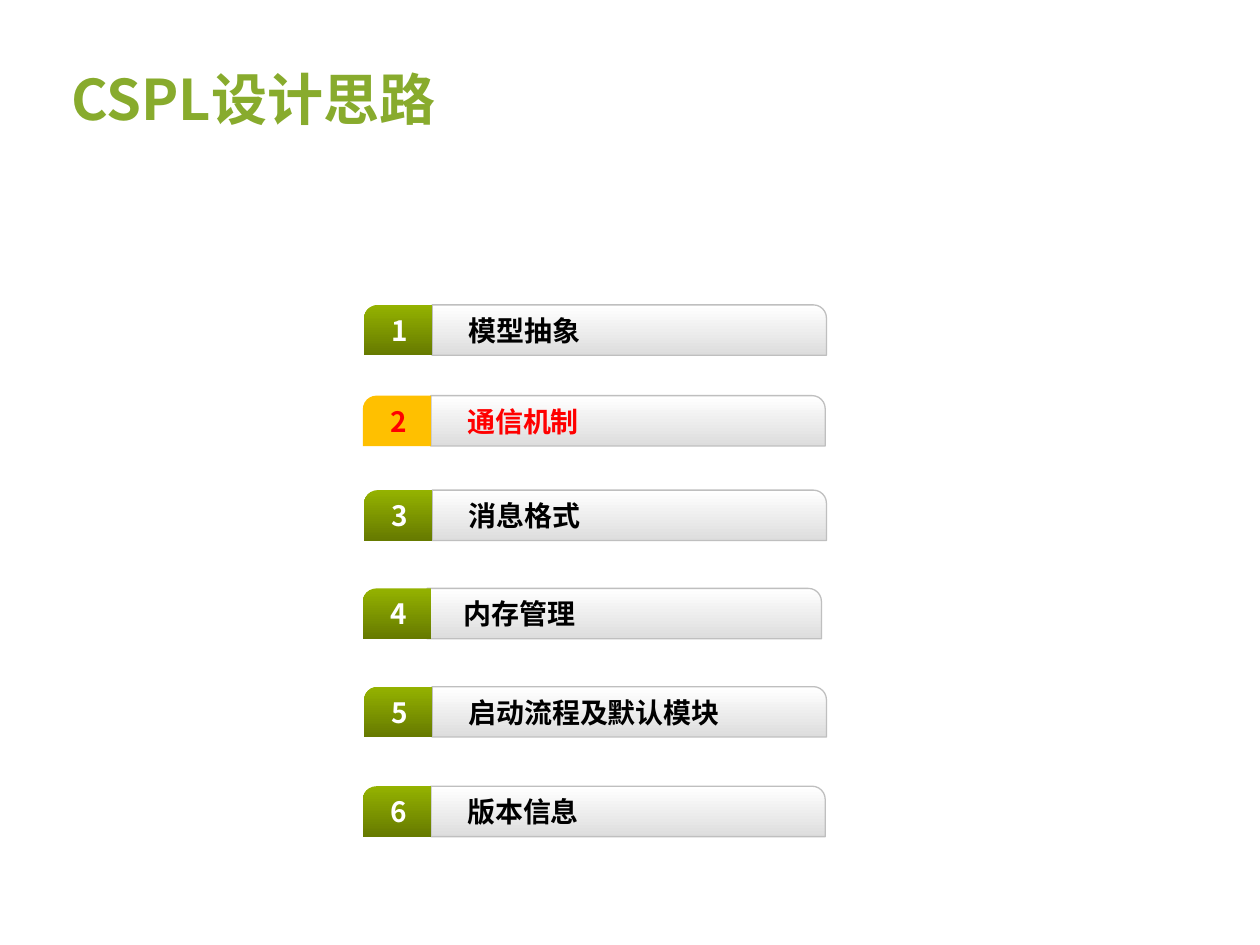
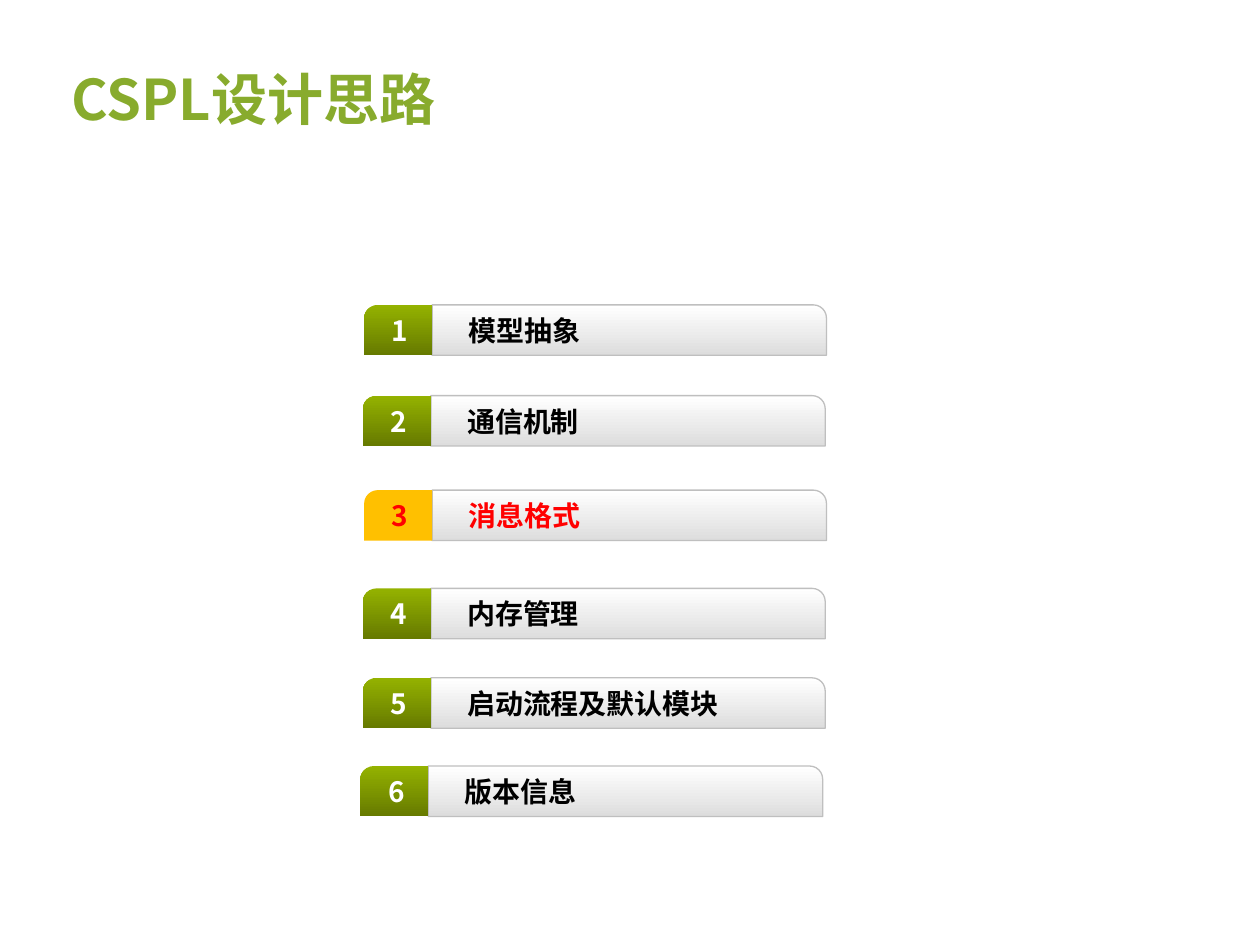
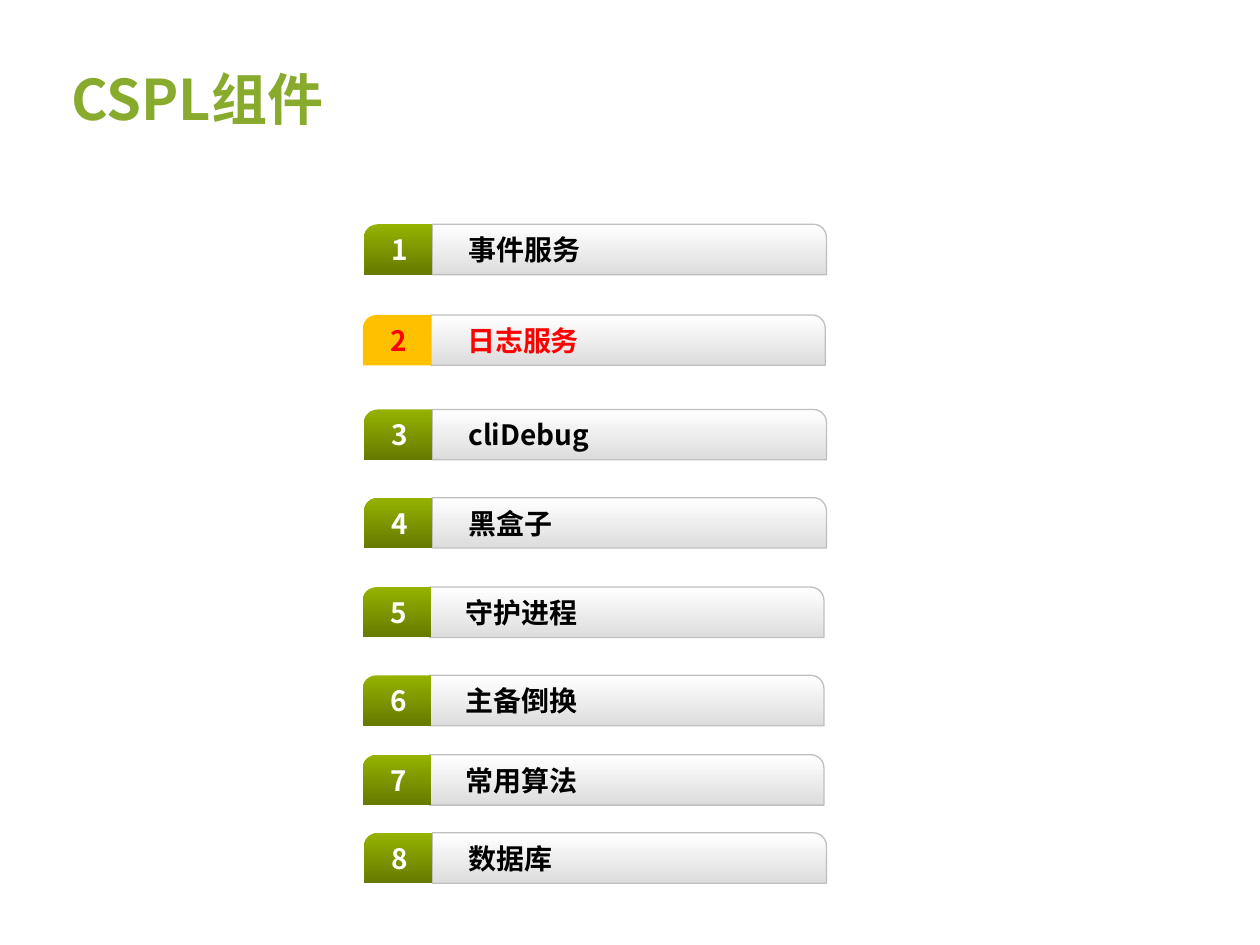
import pptx
import pptx.util
import pptx.dml.color
import pptx.enum.shapes
import pptx.enum.text
import lxml.etree

Inches = pptx.util.Inches
RGB = pptx.dml.color.RGBColor.from_string
FONT = "Noto Sans CJK SC"
COLORS = {
    "title": "88AB2D", "white": "FFFFFF", "black": "000000",
    "silver": "DDDDDD", "edge": "BFBFBF", "lime": "94B200",
    "olive": "667A00", "amber": "FFC000", "red": "FF0000",
}
TAG_W, BAR_W, ROW_H = 0.54, 3.13, 0.4

# Each agenda: title, active row, then rows of (text, tag left, bar left, top)
TOPICS = ["模型抽象", "通信机制", "消息格式", "内存管理", "启动流程及默认模块", "版本信息"]
PARTS = ["事件服务", "日志服务", "cliDebug", "黑盒子", "守护进程", "主备倒换", "常用算法", "数据库"]
AGENDAS = [
    ("CSPL设计思路", 2, zip(
        TOPICS,
        [2.89, 2.88, 2.89, 2.88, 2.89, 2.88],
        [3.43, 3.42, 3.43, 3.39, 3.43, 3.42],
        [2.42, 3.14, 3.89, 4.67, 5.45, 6.24])),
    ("CSPL设计思路", 3, zip(
        TOPICS,
        [2.89, 2.88, 2.89, 2.88, 2.88, 2.86],
        [3.43, 3.42, 3.43, 3.42, 3.42, 3.4],
        [2.42, 3.14, 3.89, 4.67, 5.38, 6.08])),
    ("CSPL组件", 2, zip(
        PARTS,
        [2.89, 2.88, 2.89, 2.89, 2.88, 2.88, 2.88, 2.89],
        [3.43, 3.42, 3.43, 3.43, 3.41, 3.41, 3.41, 3.43],
        [1.78, 2.5, 3.25, 3.95, 4.66, 5.36, 5.99, 6.61])),
]


def write(shape, text, size, color, align):
    frame = shape.text_frame
    frame.word_wrap = True
    frame.vertical_anchor = pptx.enum.text.MSO_ANCHOR.MIDDLE
    para = frame.paragraphs[0]
    para.text = text
    para.alignment = align
    font = para.font
    font.size = pptx.util.Pt(size)
    font.bold = True
    font.name = FONT
    font.color.rgb = RGB(COLORS[color])
    # East Asian glyphs need their own typeface entry
    props = para._p.pPr.find(pptx.oxml.ns.qn("a:defRPr"))
    lxml.etree.SubElement(props, pptx.oxml.ns.qn("a:ea"), typeface=FONT)
    return para


def block(slide, left, top, width, round_by, fills):
    shape = slide.shapes.add_shape(
        pptx.enum.shapes.MSO_SHAPE.ROUND_1_RECTANGLE,
        Inches(left), Inches(top), Inches(width), Inches(ROW_H))
    shape.shadow.inherit = False
    shape.adjustments[0] = round_by
    shape.line.fill.background()
    if len(fills) == 1:
        shape.fill.solid()
        shape.fill.fore_color.rgb = RGB(COLORS[fills[0]])
    else:
        shape.fill.gradient()
        shape.fill.gradient_angle = 270
        for stop, name in zip(shape.fill.gradient_stops, fills):
            stop.color.rgb = RGB(COLORS[name])
    return shape


deck = pptx.Presentation()
deck.slide_width, deck.slide_height = Inches(10), Inches(7.5)
LEFT = pptx.enum.text.PP_ALIGN.LEFT
CENTER = pptx.enum.text.PP_ALIGN.CENTER

for title, active, rows in AGENDAS:
    slide = deck.slides.add_slide(deck.slide_layouts[6])

    # Title
    head = slide.shapes.add_textbox(Inches(0.47), Inches(0.47), Inches(6.48), Inches(0.62))
    write(head, title, 32, "title", LEFT)

    # Agenda rows
    for num, (text, tag_x, bar_x, top) in enumerate(rows, 1):
        live = num == active

        # Bar with the topic
        bar = block(slide, bar_x, top, BAR_W, 0.26, ["white", "silver"])
        bar.line.color.rgb = RGB(COLORS["edge"])
        bar.line.width = pptx.util.Pt(0.75)
        para = write(bar, text, 16, "red" if live else "black", LEFT)
        para._p.pPr.set("marL", str(Inches(0.19)))

        # Number tag, mirrored so the round corner is on the left
        tag = block(slide, tag_x, top, TAG_W, 0.27, ["amber"] if live else ["lime", "olive"])
        tag._element.spPr.find(pptx.oxml.ns.qn("a:xfrm")).set("flipH", "1")
        write(tag, str(num), 16, "red" if live else "white", CENTER)

deck.save("out.pptx")
